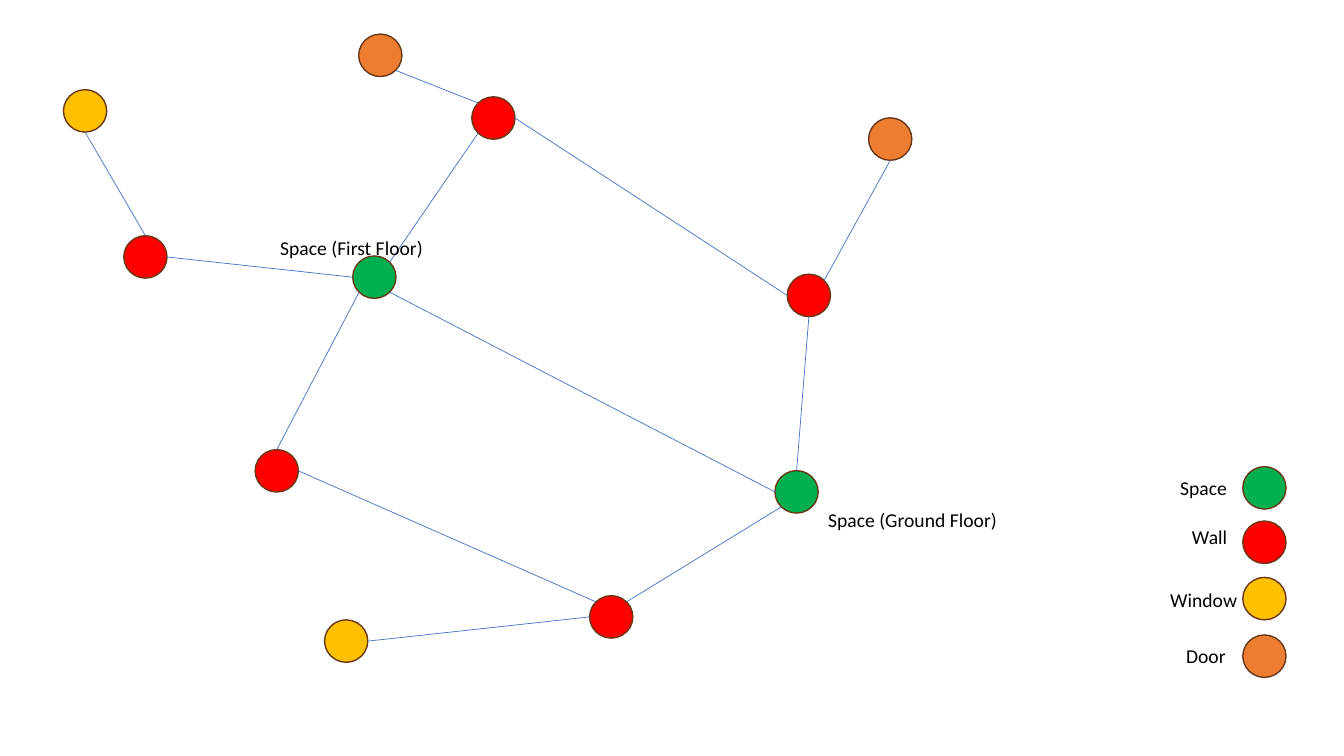
from math import cos, pi, sin

from lxml import etree
from pptx import Presentation
from pptx.dml.color import RGBColor
from pptx.enum.shapes import MSO_CONNECTOR, MSO_SHAPE
from pptx.oxml.ns import qn
from pptx.util import Cm, Pt

BLACK = RGBColor(0x00, 0x00, 0x00)
EDGE_BLUE = RGBColor(0x44, 0x72, 0xC4)
OUTLINE = RGBColor(0x68, 0x37, 0x15)
COLORS = {
    "Space": RGBColor(0x00, 0xB0, 0x50),
    "Wall": RGBColor(0xFF, 0x00, 0x00),
    "Window": RGBColor(0xFF, 0xC0, 0x00),
    "Door": RGBColor(0xED, 0x7D, 0x31),
}
NODE_W, NODE_H = 1.09, 1.07
LEGEND_X, LABEL_H = 31.32, 0.86

# Graph nodes: name -> (kind, left, top) in cm
NODES = {
    "ground": ("Space", 19.53, 11.86),
    "first": ("Space", 8.89, 6.45),
    "wall east": ("Wall", 19.84, 6.91),
    "wall south": ("Wall", 14.86, 15.01),
    "wall north": ("Wall", 11.89, 2.44),
    "wall west": ("Wall", 3.12, 5.94),
    "wall inner": ("Wall", 6.43, 11.33),
    "door east": ("Door", 21.89, 2.97),
    "door north": ("Door", 9.04, 0.86),
    "window west": ("Window", 1.6, 2.26),
    "window south": ("Window", 8.18, 15.62),
}

# Connection sites of an ellipse, counterclockwise from the top
SITES = ["N", "NW", "W", "SW", "S", "SE", "E", "NE"]
EDGES = [
    ("first", "SE", "ground", "W"),
    ("wall north", "E", "wall east", "W"),
    ("wall east", "S", "ground", "N"),
    ("first", "NE", "wall north", "SW"),
    ("wall west", "E", "first", "W"),
    ("wall west", "N", "window west", "S"),
    ("wall inner", "N", "first", "SW"),
    ("wall south", "NE", "ground", "SW"),
    ("window south", "E", "wall south", "W"),
    ("door east", "S", "wall east", "NE"),
    ("wall inner", "E", "wall south", "NW"),
    ("door north", "SE", "wall north", "NW"),
]

# Legend: kind, node top, label left, label top, label width
LEGEND = [
    ("Space", 11.76, 29.49, 11.86, 1.78),
    ("Wall", 13.13, 29.79, 13.11, 1.47),
    ("Window", 14.55, 29.24, 14.68, 2.31),
    ("Door", 16.0, 29.64, 16.1, 1.78),
]
FLOOR_LABELS = [
    ("Space (Ground Floor)", 20.62, 12.67, 5.11),
    ("Space (First Floor)", 6.81, 5.82, 5.11),
]

prs = Presentation()
prs.slide_width, prs.slide_height = Cm(33.87), Cm(19.05)
s = prs.slides.add_slide(prs.slide_layouts[6])


def add_node(kind, x, y):
    sp = s.shapes.add_shape(MSO_SHAPE.OVAL, Cm(x), Cm(y), Cm(NODE_W), Cm(NODE_H))
    sp.shadow.inherit = False
    sp.fill.solid()
    sp.fill.fore_color.rgb = COLORS[kind]
    sp.line.color.rgb = OUTLINE
    sp.line.width = Pt(1)
    return sp


def add_label(text, x, y, w):
    tf = s.shapes.add_textbox(Cm(x), Cm(y), Cm(w), Cm(LABEL_H)).text_frame
    tf.word_wrap = True
    p = tf.paragraphs[0]
    p.text = text
    p.font.name, p.font.size = "Calibri", Pt(14)
    p.font.color.rgb = BLACK


def site_point(name, site):
    _, x, y = NODES[name]
    angle = SITES.index(site) * pi / 4
    return (Cm(x + NODE_W / 2 * (1 - sin(angle))),
            Cm(y + NODE_H / 2 * (1 - cos(angle))))


def add_edge(start, start_site, end, end_site):
    cxn = s.shapes.add_connector(MSO_CONNECTOR.STRAIGHT,
                                 *site_point(start, start_site),
                                 *site_point(end, end_site))
    cxn.line.color.rgb = EDGE_BLUE
    cxn.line.width = Pt(0.5)
    el = cxn._element
    etree.SubElement(el.spPr, qn("a:effectLst"))
    # Glue both ends to their nodes
    links = el.nvCxnSpPr.cNvCxnSpPr
    for tag, name, site in (("a:stCxn", start, start_site), ("a:endCxn", end, end_site)):
        etree.SubElement(links, qn(tag), id=str(node_shapes[name].shape_id),
                         idx=str(SITES.index(site)))


# Legend
for kind, node_y, label_x, label_y, label_w in LEGEND:
    add_node(kind, LEGEND_X, node_y)
    add_label(kind, label_x, label_y, label_w)

# Graph
node_shapes = {name: add_node(*node) for name, node in NODES.items()}
for edge in EDGES:
    add_edge(*edge)
for label in FLOOR_LABELS:
    add_label(*label)

prs.save("out.pptx")
